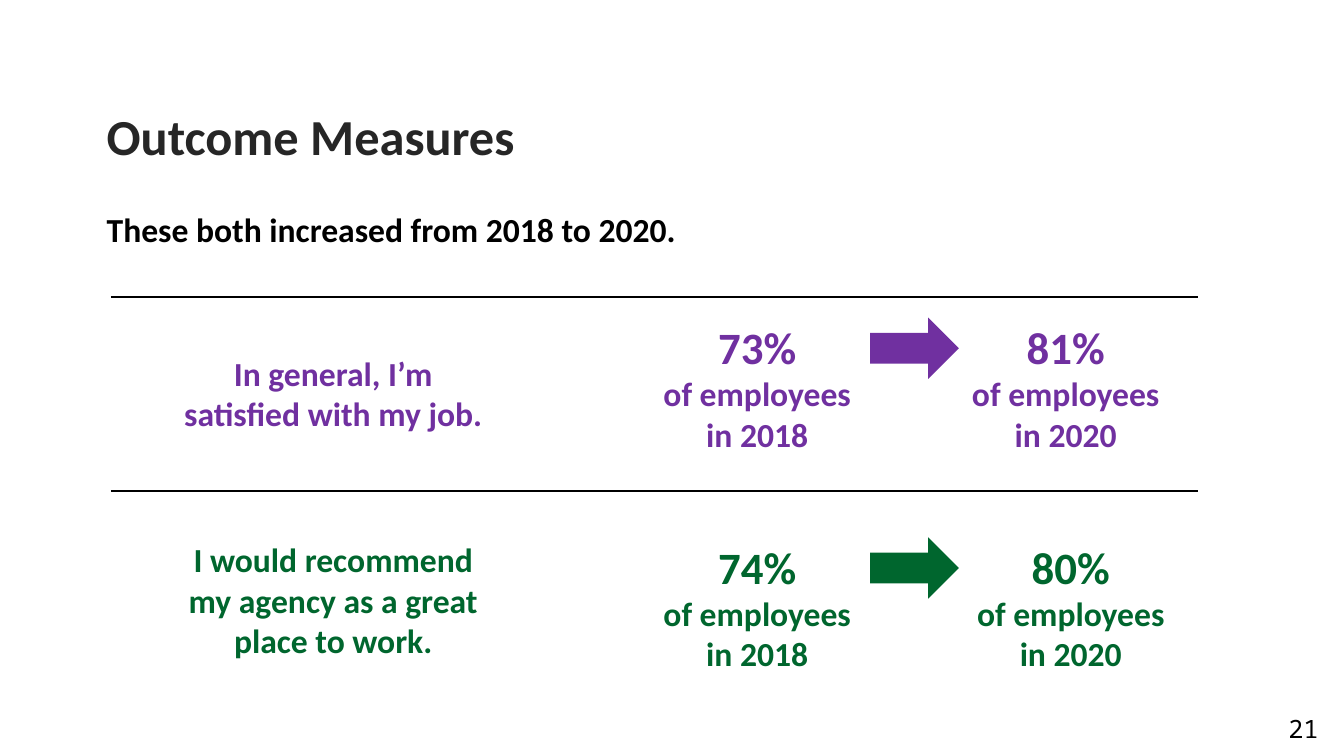
from lxml import etree
from pptx import Presentation
from pptx import util as u
from pptx.dml.color import RGBColor
from pptx.enum import shapes, text
from pptx.oxml.ns import qn

BLACK = RGBColor(0x00, 0x00, 0x00)
CHARCOAL = RGBColor(0x26, 0x26, 0x26)
PURPLE = RGBColor(0x70, 0x30, 0xA0)
GREEN = RGBColor(0x00, 0x66, 0x2E)
FONT = "Calibri"
NUMBER_FONT = "Noto Sans Mono"
LEFT, CENTER = text.PP_ALIGN.LEFT, text.PP_ALIGN.CENTER

MEASURES = [
    (3.12, 3.45, 0.91, 9.46, PURPLE,
     "In general, I’m satisfied with my job.", "73%", "81%"),
    (5.3, 5.3, 1.31, 9.51, GREEN,
     "I would recommend my agency as a great place to work.", "74%", "80%"),
]


def add_text(s, x, y, w, h, lines, color, align=LEFT, font=FONT, bold=True,
             wrap=True):
    sp = s.shapes.add_textbox(u.Inches(x), u.Inches(y), u.Inches(w), u.Inches(h))
    tf = sp.text_frame
    tf.word_wrap = wrap
    tf.text = "\n".join(line for line, size in lines)
    for p, (line, size) in zip(tf.paragraphs, lines):
        p.alignment = align
        r = p.runs[0]
        r.font.name = font
        r.font.size = u.Pt(size)
        r.font.bold = bold
        r.font.color.rgb = color


def add_rule(s, y):
    line = s.shapes.add_connector(
        shapes.MSO_CONNECTOR.STRAIGHT,
        u.Inches(1.1), u.Inches(y), u.Inches(11.88), u.Inches(y))
    line.line.color.rgb = BLACK
    line.line.width = u.Pt(1.5)
    etree.SubElement(line._element.spPr, qn("a:effectLst"))


def add_arrow(s, x, y, color):
    sp = s.shapes.add_shape(shapes.MSO_SHAPE.RIGHT_ARROW, u.Inches(x),
                            u.Inches(y), u.Inches(0.88), u.Inches(0.61))
    sp.shadow.inherit = False
    sp.fill.solid()
    sp.fill.fore_color.rgb = color
    sp.line.fill.background()


def add_share(s, x, y, share, year, color):
    lines = [(share, 32), (f"of employees in {year}", 24)]
    add_text(s, x, y, 2.22, 1.45, lines, color, CENTER)


def add_measure(s, y, label_y, label_h, after_x, color, label, before, after):
    add_text(s, 1.72, label_y, 3.17, label_h, [(label, 24)], color, CENTER)
    add_share(s, 6.4, y, before, 2018, color)
    add_arrow(s, 8.63, y + 0.03, color)
    add_share(s, after_x, y, after, 2020, color)


def main():
    prs = Presentation()
    prs.slide_width = u.Inches(13.33)
    prs.slide_height = u.Inches(7.5)
    s = prs.slides.add_slide(prs.slide_layouts[6])

    add_text(s, 12.68, 7.03, 0.53, 0.4, [("21", 18)], BLACK,
             font=NUMBER_FONT, bold=False, wrap=False)
    add_text(s, 0.96, 0.99, 9.5, 0.6, [("Outcome Measures", 36)], CHARCOAL)
    add_text(s, 0.96, 2.02, 10.87, 0.5,
             [("These both increased from 2018 to 2020.", 24)], BLACK)
    for y in (2.95, 4.87):
        add_rule(s, y)
    for measure in MEASURES:
        add_measure(s, *measure)

    prs.save("out.pptx")


if __name__ == "__main__":
    main()
